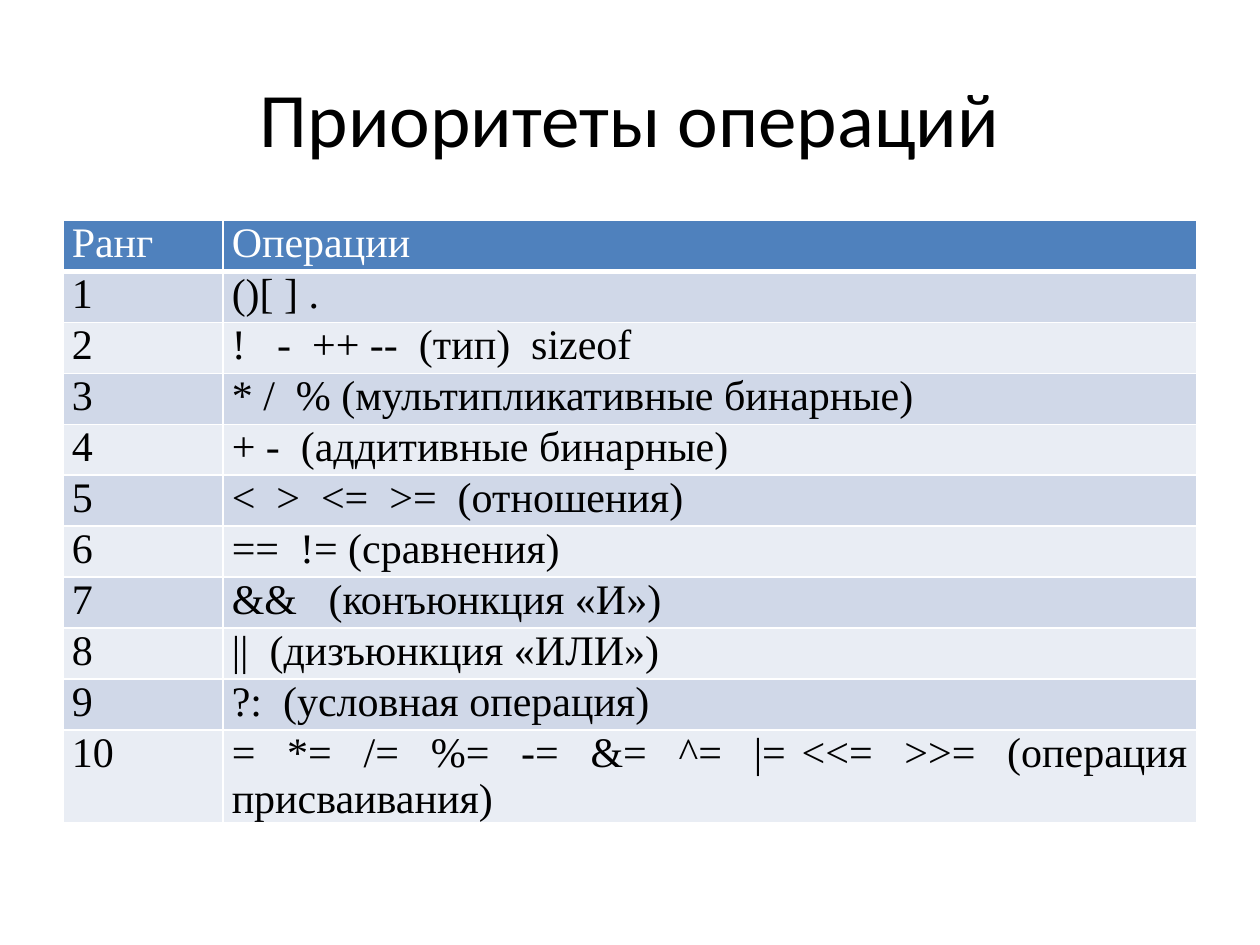
from lxml import etree
from pptx import Presentation
from pptx.dml.color import RGBColor
from pptx.enum.text import MSO_ANCHOR, PP_ALIGN
from pptx.oxml.ns import qn
from pptx.util import Inches, Pt

MIDDLE = MSO_ANCHOR.MIDDLE
CENTER, JUSTIFY = PP_ALIGN.CENTER, PP_ALIGN.JUSTIFY
TITLE_ONLY = 5

HEAD = ("Ранг", "Операции")
RANKS = [
    "()[ ] .",
    "!   -  ++ --  (тип)  sizeof ",
    "* /  % (мультипликативные бинарные)",
    "+ -  (аддитивные бинарные)",
    "<  >  <=  >=  (отношения)",
    "==  != (сравнения)",
    "&&   (конъюнкция «И»)",
    "||  (дизъюнкция «ИЛИ»)",
    "?:  (условная операция)",
    "=  *=  /=  %=  -=  &=  ^=  |= <<=  >>=  (операция присваивания)",
]


def color(code):
    return RGBColor.from_string(code)


class Deck:
    black, white = "000000", "FFFFFF"
    blue = "4F81BD"
    bands = ("D0D8E8", "E9EDF4")

    def __init__(self):
        self.prs = Presentation()
        self.prs.slide_width, self.prs.slide_height = Inches(10), Inches(7.5)
        self.slide = self.prs.slides.add_slide(self.prs.slide_layouts[TITLE_ONLY])

    def style(self, par, align, font, size, ink):
        par.alignment = align
        par.font.name, par.font.size = font, Pt(size)
        par.font.color.rgb = color(ink)

    def title(self, text):
        box = self.slide.shapes.title
        box.left, box.top = Inches(0.5), Inches(0.3)
        box.width, box.height = Inches(9), Inches(1.25)
        frame = box.text_frame
        frame.text, frame.vertical_anchor = text, MIDDLE
        self.style(frame.paragraphs[0], CENTER, "Calibri", 44, self.black)

    def border(self, cell, side, width):
        props = cell._tc.get_or_add_tcPr()
        line = etree.SubElement(props, qn(f"a:ln{side}"), w=str(Pt(width)))
        fill = etree.SubElement(line, qn("a:solidFill"))
        etree.SubElement(fill, qn("a:srgbClr"), val=self.white)

    def cell(self, cell, text, fill, ink, base):
        """Fill one cell; base is the width of its bottom border."""
        cell.text = text
        cell.margin_left = cell.margin_right = Inches(0.07)
        cell.margin_top = cell.margin_bottom = 0
        for side in "LRT":
            self.border(cell, side, 1)
        self.border(cell, "B", base)
        cell.fill.solid()
        cell.fill.fore_color.rgb = color(fill)
        par = cell.text_frame.paragraphs[0]
        self.style(par, JUSTIFY, "Times New Roman", 24, ink)

    def table(self, rows, widths):
        frame = self.slide.shapes.add_table(
            len(rows), len(widths), Inches(0.5), Inches(1.75), Inches(9), Inches(4.45))
        table = frame.table
        for col, width in zip(table.columns, widths):
            col.width = Inches(width)
        for i, row in enumerate(rows):
            if i == 0:
                look = self.blue, self.white, 3
            else:
                look = self.bands[(i - 1) % 2], self.black, 1
            for j, text in enumerate(row):
                self.cell(table.cell(i, j), text, *look)


def main():
    deck = Deck()
    deck.title("Приоритеты операций")
    body = [(str(rank), text) for rank, text in enumerate(RANKS, 1)]
    deck.table([HEAD] + body, (1.27, 7.73))
    deck.prs.save("out.pptx")


if __name__ == "__main__":
    main()
